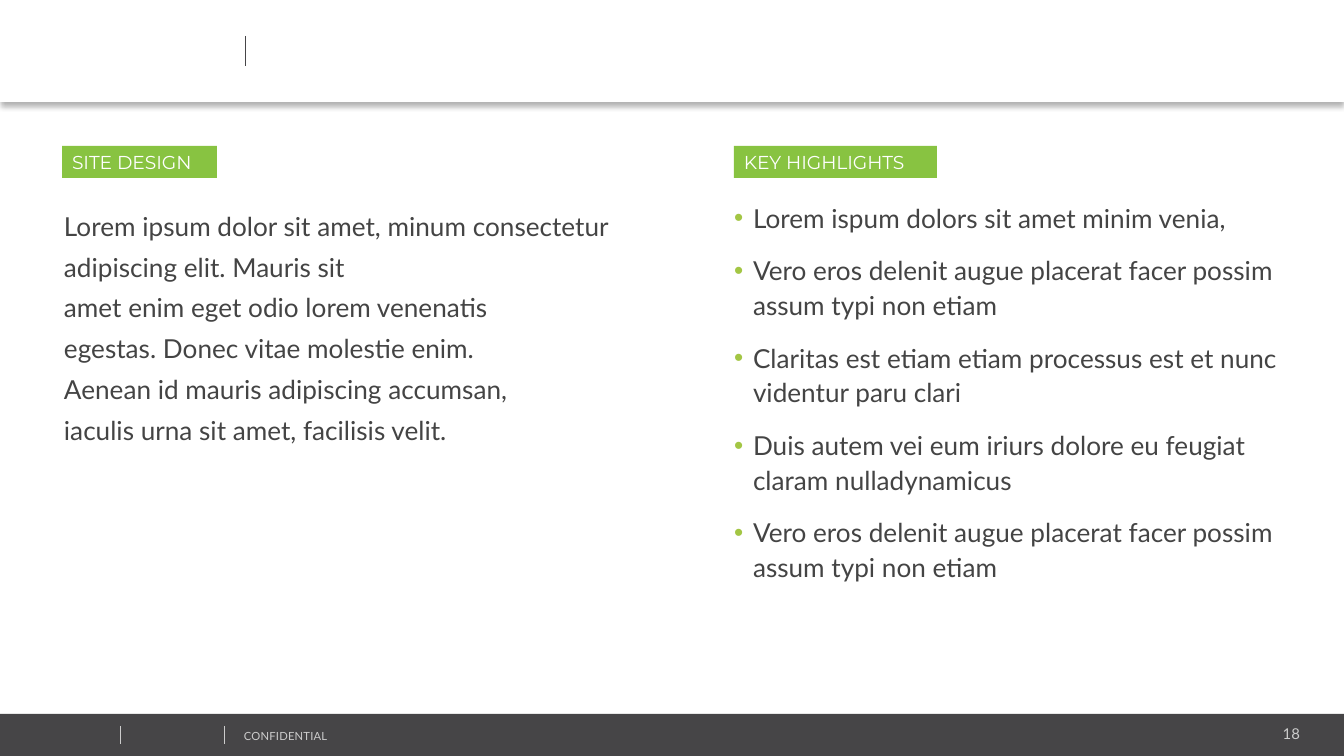
from dataclasses import dataclass

from lxml import etree
from pptx import Presentation
from pptx.dml.color import RGBColor
from pptx.enum.shapes import MSO_CONNECTOR, MSO_SHAPE
from pptx.enum.text import MSO_ANCHOR, PP_ALIGN
from pptx.oxml.ns import qn
from pptx.util import Pt

RECT = MSO_SHAPE.RECTANGLE
STRAIGHT = MSO_CONNECTOR.STRAIGHT
TOP, MIDDLE = MSO_ANCHOR.TOP, MSO_ANCHOR.MIDDLE
LEFT, RIGHT = PP_ALIGN.LEFT, PP_ALIGN.RIGHT

W, H = 1344, 756
EMU_PER_PX = 914400 / 134.4
PAD = 10
BULLET_INDENT = 19
COLORS = {
    "white": "FFFFFF",
    "dark": "464547",
    "text": "444444",
    "pale": "CCCCCC",
    "green": "88C341",
    "bullet": "A3C644",
    "shadow": "000000",
}


@dataclass
class Box:
    x: int
    y: int
    w: int
    h: int


@dataclass
class Style:
    size: int
    color: str
    font: str = "Lato"
    align: PP_ALIGN = LEFT
    line: float = 1.0
    after: float = 0
    tracking: int = 0  # hundredths of a point
    bullet: bool = False


@dataclass
class Divider:
    x: int
    top: int
    bottom: int
    color: str
    width: float


@dataclass
class Column:
    tag: str
    tag_box: Box
    body: list[str]
    body_box: Box
    style: Style


TAG = Style(10, "white", "Montserrat")
NUMBER = Style(8, "pale", align=RIGHT)
NOTICE = Style(6, "pale", tracking=10)
PROSE = Style(14, "text", line=1.3, after=9.8)
BULLETS = Style(14, "text", line=1.1, after=9.8, bullet=True)

DIVIDERS = [
    Divider(120, 726, 744, "pale", 0.25),
    Divider(224, 726, 744, "pale", 0.25),
    Divider(245, 36, 66, "dark", 0.5),
]

# A line feed inside a paragraph is a line break
COLUMNS = [
    Column("SITE DESIGN", Box(62, 146, 155, 32), [
        "Lorem ipsum dolor sit amet, minum consectetur adipiscing elit. Mauris sit\n"
        "amet enim eget odio lorem venenatis\n"
        "egestas. Donec vitae molestie enim.\n"
        "Aenean id mauris adipiscing accumsan,\n"
        "iaculis urna sit amet, facilisis velit.",
    ], Box(54, 196, 578, 403), PROSE),
    Column("KEY HIGHLIGHTS", Box(734, 146, 203, 32), [
        "Lorem ispum dolors sit amet minim venia,",
        "Vero eros delenit augue placerat facer possim assum typi non etiam",
        "Claritas est etiam etiam processus est et nunc videntur paru clari",
        "Duis autem vei eum iriurs dolore eu feugiat claram nulladynamicus",
        "Vero eros delenit augue placerat facer possim assum typi non etiam",
    ], Box(724, 194, 564, 481), BULLETS),
]


def px(n: int) -> int:
    return round(n * EMU_PER_PX)


def place(box: Box) -> tuple[int, ...]:
    return tuple(px(n) for n in (box.x, box.y, box.w, box.h))


def rgb(name: str) -> RGBColor:
    return RGBColor.from_string(COLORS[name])


def add_rect(slide, box: Box, color: str):
    sp = slide.shapes.add_shape(RECT, *place(box))
    sp.shadow.inherit = False
    sp.fill.solid()
    sp.fill.fore_color.rgb = rgb(color)
    sp.line.fill.background()
    return sp


def add_drop_shadow(sp) -> None:
    effects = sp._element.spPr.find(qn("a:effectLst"))
    shadow = etree.SubElement(effects, qn("a:outerShdw"), blurRad=str(Pt(3.1)),
                              dist=str(Pt(2)), dir="5400000", algn="t", rotWithShape="0")
    color = etree.SubElement(shadow, qn("a:srgbClr"), val=COLORS["shadow"])
    etree.SubElement(color, qn("a:alpha"), val="30000")


def add_bullet(p) -> None:
    p.level = 1
    pPr = p._p.get_or_add_pPr()
    pPr.set("marL", str(px(BULLET_INDENT)))
    pPr.set("indent", str(-px(BULLET_INDENT)))
    color = etree.SubElement(pPr, qn("a:buClr"))
    etree.SubElement(color, qn("a:srgbClr"), val=COLORS["bullet"])
    etree.SubElement(pPr, qn("a:buFont"), typeface="Arial")
    etree.SubElement(pPr, qn("a:buChar"), char="•")


def fill_text(sp, paragraphs: list[str], style: Style, anchor=TOP, pad_y: int = 5) -> None:
    tf = sp.text_frame
    tf.word_wrap = True
    tf.vertical_anchor = anchor
    tf.margin_left = tf.margin_right = px(PAD)
    tf.margin_top = tf.margin_bottom = px(pad_y)
    for i, text in enumerate(paragraphs):
        p = tf.add_paragraph() if i else tf.paragraphs[0]
        if style.bullet:
            add_bullet(p)
        p.alignment = style.align
        p.line_spacing = style.line
        p.space_after = Pt(style.after)
        for j, line in enumerate(text.split("\n")):
            if j:
                p.add_line_break()
            r = p.add_run()
            r.text = line
            r.font.size = Pt(style.size)
            r.font.name = style.font
            r.font.color.rgb = rgb(style.color)
            if style.tracking:
                r._r.get_or_add_rPr().set("spc", str(style.tracking))


def add_text(slide, box: Box, paragraphs: list[str], style: Style) -> None:
    fill_text(slide.shapes.add_textbox(*place(box)), paragraphs, style)


def add_divider(slide, d: Divider) -> None:
    ln = slide.shapes.add_connector(STRAIGHT, px(d.x), px(d.top), px(d.x), px(d.bottom))
    ln.line.color.rgb = rgb(d.color)
    ln.line.width = Pt(d.width)
    etree.SubElement(ln._element.spPr, qn("a:effectLst"))


def add_column(slide, col: Column) -> None:
    tag = add_rect(slide, col.tag_box, "green")
    fill_text(tag, [col.tag], TAG, MIDDLE, pad_y=0)
    add_text(slide, col.body_box, col.body, col.style)


def main() -> None:
    prs = Presentation()
    prs.slide_width, prs.slide_height = px(W), px(H)
    slide = prs.slides.add_slide(prs.slide_layouts[6])

    # Footer band
    add_rect(slide, Box(0, 714, W, H - 714), "dark")
    add_text(slide, Box(1091, 720, 219, 28), ["18"], NUMBER)
    add_text(slide, Box(234, 724, 340, 24), ["CONFIDENTIAL"], NOTICE)

    # Header band
    add_drop_shadow(add_rect(slide, Box(0, 0, W, 102), "white"))

    for divider in DIVIDERS:
        add_divider(slide, divider)

    # Content columns
    for col in COLUMNS:
        add_column(slide, col)

    prs.save("out.pptx")


if __name__ == "__main__":
    main()
